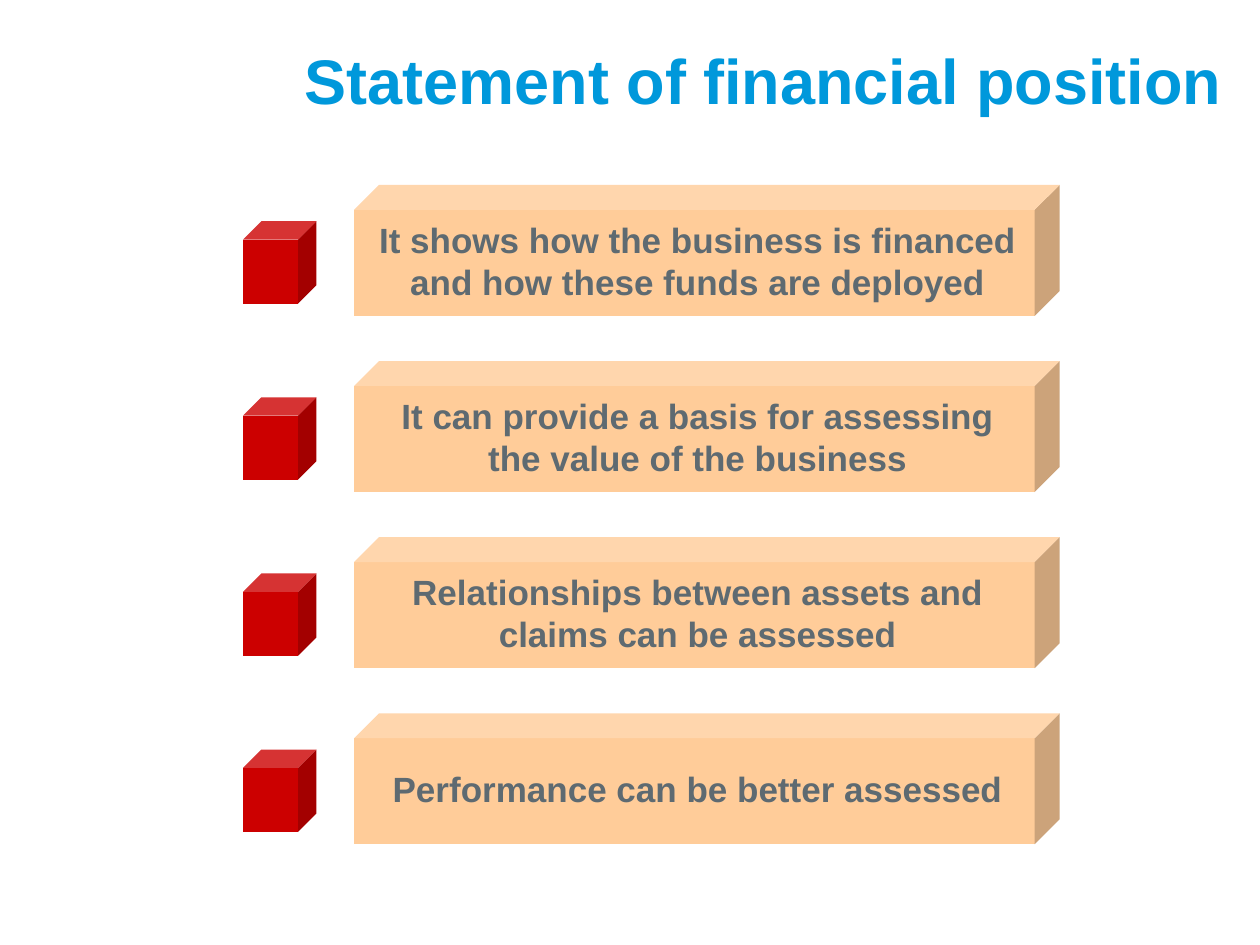
import pptx
import pptx.util
import pptx.dml.color
import pptx.enum.shapes
import pptx.enum.text

Cm = pptx.util.Cm
Align = pptx.enum.text.PP_ALIGN
Anchor = pptx.enum.text.MSO_ANCHOR

POINTS = [
    "It shows how the business is financed and how these funds are deployed",
    "It can provide a basis for assessing the value of the business",
    "Relationships between assets and claims can be assessed",
    "Performance can be better assessed",
]
TOP, STEP = 3.73, 3.55


def paint(form, color):
    form.rgb = pptx.dml.color.RGBColor.from_string(color)


def write(frame, text, size, color, align, anchor):
    frame.word_wrap = True
    frame.auto_size = pptx.enum.text.MSO_AUTO_SIZE.NONE
    frame.vertical_anchor = anchor
    para = frame.paragraphs[0]
    para.text = text
    para.alignment = align
    para.font.name = "Arial"
    para.font.size = pptx.util.Pt(size)
    para.font.bold = True
    paint(para.font.color, color)


def add_title(slide, text):
    title = slide.shapes.title
    title.left, title.top = Cm(5.89), Cm(-0.28)
    title.width, title.height = Cm(22.43), Cm(2.77)
    write(title.text_frame, text, 36, "0098DB", Align.LEFT, Anchor.BOTTOM)


def add_cube(slide, left, top, width, height, depth, color):
    """Draw a cube; depth is a share of its shorter side."""
    cube = slide.shapes.add_shape(
        pptx.enum.shapes.MSO_SHAPE.CUBE,
        Cm(left), Cm(top), Cm(width), Cm(height))
    cube.adjustments[0] = depth
    cube.shadow.inherit = False
    cube.fill.solid()
    paint(cube.fill.fore_color, color)
    cube.line.fill.background()


def add_label(slide, text, top):
    box = slide.shapes.add_textbox(Cm(7.36), Cm(top), Cm(13.41), Cm(2.18))
    write(box.text_frame, text, 20, "5E6A71", Align.CENTER, Anchor.MIDDLE)


def add_point(slide, text, top):
    add_cube(slide, 7.14, top, 14.22, 2.64, 0.19, "FFCC99")
    add_label(slide, text, top + 0.43)
    add_cube(slide, 4.9, top + 0.73, 1.48, 1.66, 0.25, "CC0000")


def main():
    deck = pptx.Presentation()
    deck.slide_width, deck.slide_height = Cm(25.4), Cm(19.05)
    slide = deck.slides.add_slide(deck.slide_layouts.get_by_name("Title Only"))
    add_title(slide, "Statement of financial position")
    for row, text in enumerate(POINTS):
        add_point(slide, text, TOP + row * STEP)
    deck.save("out.pptx")


if __name__ == "__main__":
    main()
